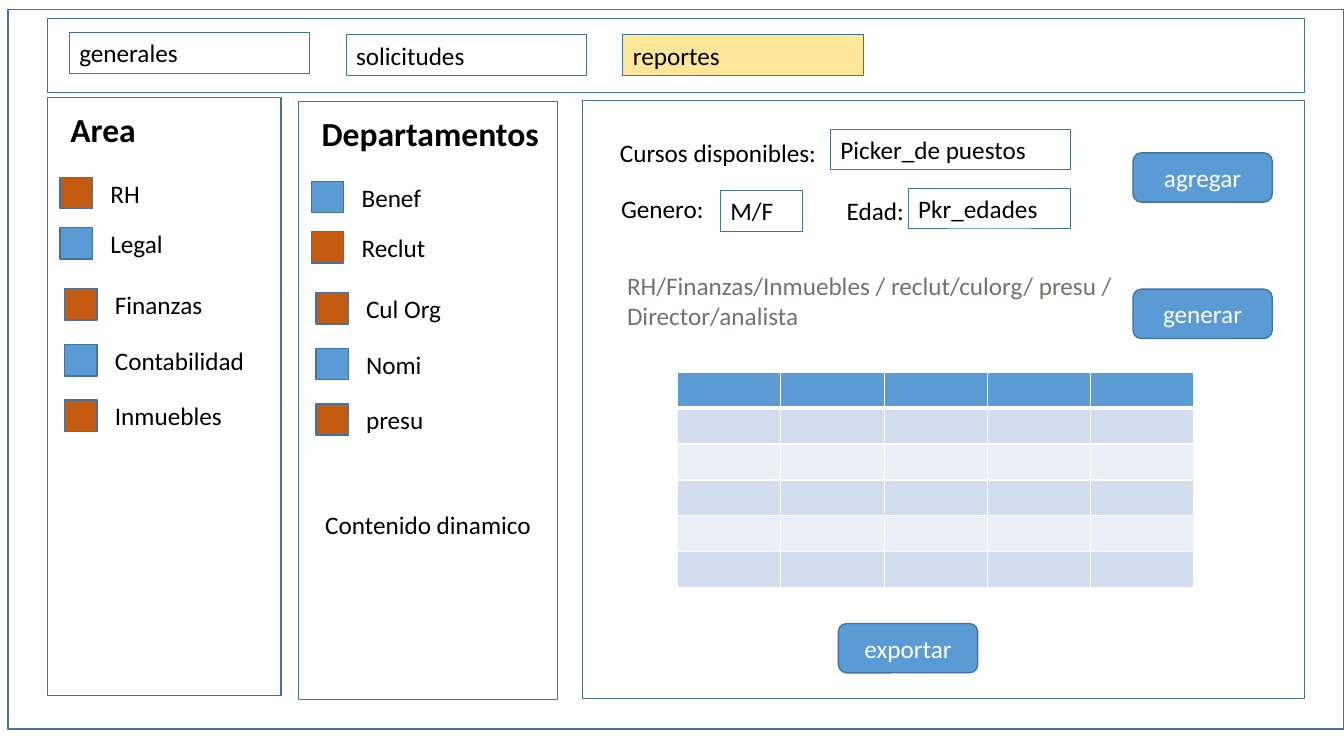
from pptx import Presentation
from pptx.dml.color import RGBColor
from pptx.enum.shapes import MSO_SHAPE
from pptx.enum.text import MSO_ANCHOR, PP_ALIGN
from pptx.oxml.ns import qn
from pptx.util import Pt
from lxml import etree

RECT = MSO_SHAPE.RECTANGLE
ROUND = MSO_SHAPE.ROUNDED_RECTANGLE
TOP, MID = MSO_ANCHOR.TOP, MSO_ANCHOR.MIDDLE
LEFT, CENTER = PP_ALIGN.LEFT, PP_ALIGN.CENTER
BLUE, RUST, EDGE = "5B9BD5", "C55A11", "43739E"
WHITE, BLACK, GOLD, GRAY = "FFFFFF", "000000", "FFE699", "767171"
BANDS = ["D2DEEF", "EAEFF7"]


def tint(code):
    return RGBColor.from_string(code)


def write(frame, text, size=18, color=BLACK, bold=False, align=LEFT, anchor=TOP):
    frame.word_wrap = True
    frame.vertical_anchor = anchor
    para = frame.paragraphs[0]
    para.alignment = align
    run = para.add_run()
    run.text = text
    font = run.font
    font.name, font.size, font.bold = "Calibri", Pt(size), bold
    font.color.rgb = tint(color)


def block(x, y, w, h, fill=None, kind=RECT, line=1):
    shape = slide.shapes.add_shape(kind, Pt(x), Pt(y), Pt(w), Pt(h))
    shape.shadow.inherit = False
    if fill:
        shape.fill.solid()
        shape.fill.fore_color.rgb = tint(fill)
    else:
        shape.fill.background()
    shape.line.color.rgb = tint(EDGE)
    shape.line.width = Pt(line)
    return shape


def label(text, x, y, w, h=29, **style):
    box = slide.shapes.add_textbox(Pt(x), Pt(y), Pt(w), Pt(h))
    write(box.text_frame, text, **style)


def field(text, x, y, w, fill=None):
    write(block(x, y, w, 29, fill, line=0.75).text_frame, text)


def button(text, x, y):
    shape = block(x, y, 99.5, 35.2, BLUE, ROUND)
    write(shape.text_frame, text, color=WHITE, align=CENTER, anchor=MID)


def menu(x, y, w, h):
    block(x, y, w, h)
    tabs = [("generales", 10.2, None), ("solicitudes", 11.7, None),
            ("reportes", 11.7, GOLD)]
    for i, (text, top, fill) in enumerate(tabs):
        field(text, x + 15.8 + 197.7 * i, y + top, 171.5, fill)


def picks(x, y, w, h, title, wide, items):
    block(x, y, w, h)
    label(title, x + 9.4, y + 4.3, wide, 36, size=24, bold=True)
    spots = [(9.2, 57), (9.2, 93), (12.4, 136.6), (12.4, 176.4), (12.4, 216)]
    for (text, fill), (left, top) in zip(items, spots):
        label(text, x + left + 28.8, y + top - 3.1, 143.5)
        block(x + left, y + top, 23.2, 22.4, fill)


def border(cell, side, width):
    line = etree.SubElement(cell._tc.get_or_add_tcPr(), qn("a:" + side),
                            w=str(Pt(width)))
    solid = etree.SubElement(line, qn("a:solidFill"))
    etree.SubElement(solid, qn("a:srgbClr"), val=WHITE)


def grid(x, y, w, h, rows=6, cols=5):
    table = slide.shapes.add_table(rows, cols, Pt(x), Pt(y), Pt(w), Pt(h)).table
    for r in range(rows):
        for c in range(cols):
            cell = table.cell(r, c)
            cell.margin_top = cell.margin_bottom = 0
            for side in ("lnL", "lnR", "lnT", "lnB"):
                thick = (r, side) in ((0, "lnB"), (1, "lnT"))
                border(cell, side, 3 if thick else 1)
            cell.fill.solid()
            cell.fill.fore_color.rgb = tint(BANDS[(r - 1) % 2] if r else BLUE)


def report(x, y, w, h):
    block(x, y, w, h)
    label("Cursos disponibles:", x + 19.4, y + 22.4, 180.7)
    field("Picker_de puestos", x + 177, y + 20.2, 171.5)
    label("Genero:", x + 20.2, y + 62.8, 82.8)
    field("M/F", x + 98.4, y + 64.2, 58.5)
    label("Edad:", x + 181.4, y + 64.2, 56.2)
    field("Pkr_edades", x + 232.5, y + 62.6, 116)
    label("RH/Finanzas/Inmuebles / reclut/culorg/ presu / Director/analista",
          x + 24.5, y + 117.4, 454.3, 51, color=GRAY)
    button("agregar", x + 393, y + 37.2)
    button("generar", x + 393, y + 134.6)
    grid(x + 67.7, y + 194, 369, 153.6)
    button("exportar", x + 182.6, y + 373.4)


deck = Presentation()
deck.slide_width, deck.slide_height = Pt(960), Pt(540)
slide = deck.slides.add_slide(deck.slide_layouts[6])

block(5.6, 6.6, 954.5, 514)
menu(33.8, 13.2, 898, 53)
picks(33.8, 69.7, 167, 427, "Area", 158,
      [("RH", RUST), ("Legal", BLUE), ("Finanzas", RUST),
       ("Contabilidad", BLUE), ("Inmuebles", RUST)])
picks(213.2, 72.5, 185, 427, "Departamentos", 197,
      [("Benef", BLUE), ("Reclut", RUST), ("Cul Org", RUST),
       ("Nomi", BLUE), ("presu", RUST)])
label("Contenido dinamico", 225.2, 360.4, 183)
report(416.3, 72, 515.5, 427)

deck.save("out.pptx")
